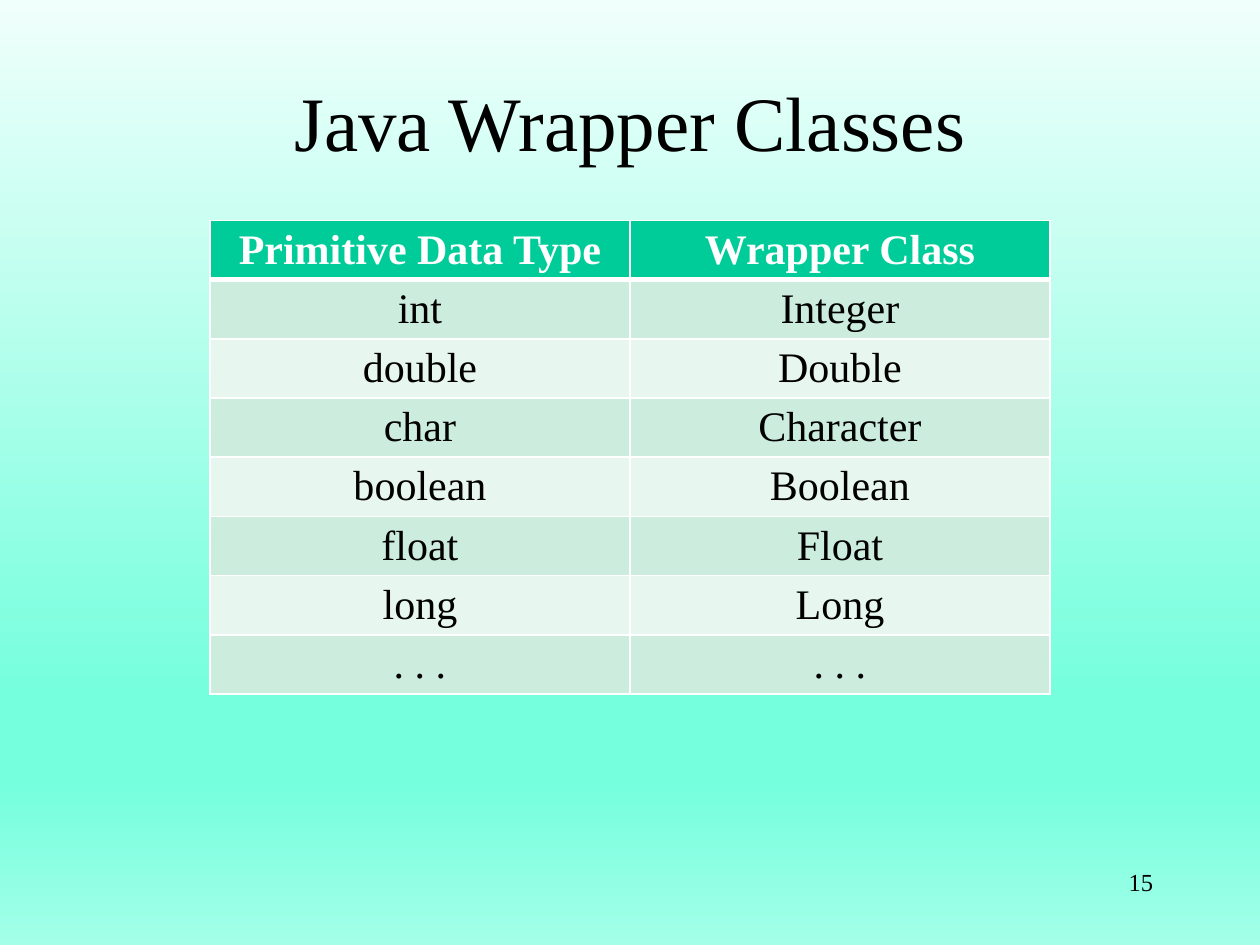
from lxml import etree
from pptx import Presentation
from pptx.dml.color import RGBColor
from pptx.enum.text import MSO_ANCHOR, PP_ALIGN
from pptx.oxml.ns import qn
from pptx.util import Inches, Pt

CENTER, RIGHT = PP_ALIGN.CENTER, PP_ALIGN.RIGHT
MIDDLE = MSO_ANCHOR.MIDDLE
FONT = "Times New Roman"
BLACK = RGBColor(0x00, 0x00, 0x00)
WHITE = RGBColor(0xFF, 0xFF, 0xFF)
GREEN = RGBColor(0x00, 0xCC, 0x99)
BANDS = [RGBColor(0xE7, 0xF6, 0xEF), RGBColor(0xCC, 0xEC, 0xDE)]

# Content
TITLE = "Java Wrapper Classes"
PAGE = "15"
ROWS = [
    ("Primitive Data Type", "Wrapper Class"),
    ("int", "Integer"),
    ("double", "Double"),
    ("char", "Character"),
    ("boolean", "Boolean"),
    ("float", "Float"),
    ("long", "Long"),
    (". . .", ". . ."),
]
# Background gradient: position in percent, colour
STOPS = [
    (0, RGBColor(0xF0, 0xFF, 0xFB)),
    (74, RGBColor(0x75, 0xFF, 0xDD)),
    (83, RGBColor(0x75, 0xFF, 0xDD)),
    (100, RGBColor(0xA3, 0xFF, 0xE8)),
]
ROW_HEIGHT = Inches(0.47)


def set_text(tf, text, size, align, color=BLACK, bold=False):
    tf.text = text
    p = tf.paragraphs[0]
    p.alignment = align
    font = p.runs[0].font
    font.name, font.size, font.bold = FONT, Pt(size), bold
    font.color.rgb = color


def add_color(parent, color):
    etree.SubElement(parent, qn("a:srgbClr"), val=str(color))


def set_background(s):
    fill = s.background.fill
    fill.gradient()
    fill.gradient_angle = 270
    stops = s.element.find(".//" + qn("a:gsLst"))
    for old in list(stops):
        stops.remove(old)
    for pos, color in STOPS:
        add_color(etree.SubElement(stops, qn("a:gs"), pos=str(pos * 1000)), color)


def set_borders(cell, widths):
    tcPr = cell._tc.get_or_add_tcPr()
    for side, width in zip("LRTB", widths):
        ln = etree.SubElement(tcPr, qn(f"a:ln{side}"), w=str(Pt(width)))
        add_color(etree.SubElement(ln, qn("a:solidFill")), WHITE)


prs = Presentation()
prs.slide_width, prs.slide_height = Inches(10), Inches(7.5)
s = prs.slides.add_slide(prs.slide_layouts[5])
set_background(s)

# Title
title = s.shapes.title
title.left, title.top = Inches(0.75), Inches(0.33)
title.width, title.height = Inches(8.5), Inches(1.25)
title.text_frame.vertical_anchor = MIDDLE
set_text(title.text_frame, TITLE, 44, CENTER)

# Table, centred: two thirds of the slide width
width = prs.slide_width * 2 // 3
table = s.shapes.add_table(
    len(ROWS), len(ROWS[0]), (prs.slide_width - width) // 2, Inches(1.75),
    width, ROW_HEIGHT * len(ROWS)).table
for i, row in enumerate(ROWS):
    header = i == 0
    for j, text in enumerate(row):
        cell = table.cell(i, j)
        set_text(cell.text_frame, text, 24, CENTER, WHITE if header else BLACK, header)
        set_borders(cell, (1, 1, 3 if i == 1 else 1, 3 if header else 1))
        cell.fill.solid()
        cell.fill.fore_color.rgb = GREEN if header else BANDS[i % 2]

# Page number
box = s.shapes.add_textbox(Inches(7.17), Inches(6.83), Inches(2.08), Inches(0.5))
box.text_frame.word_wrap = True
set_text(box.text_frame, PAGE, 14, RIGHT)

prs.save("out.pptx")
